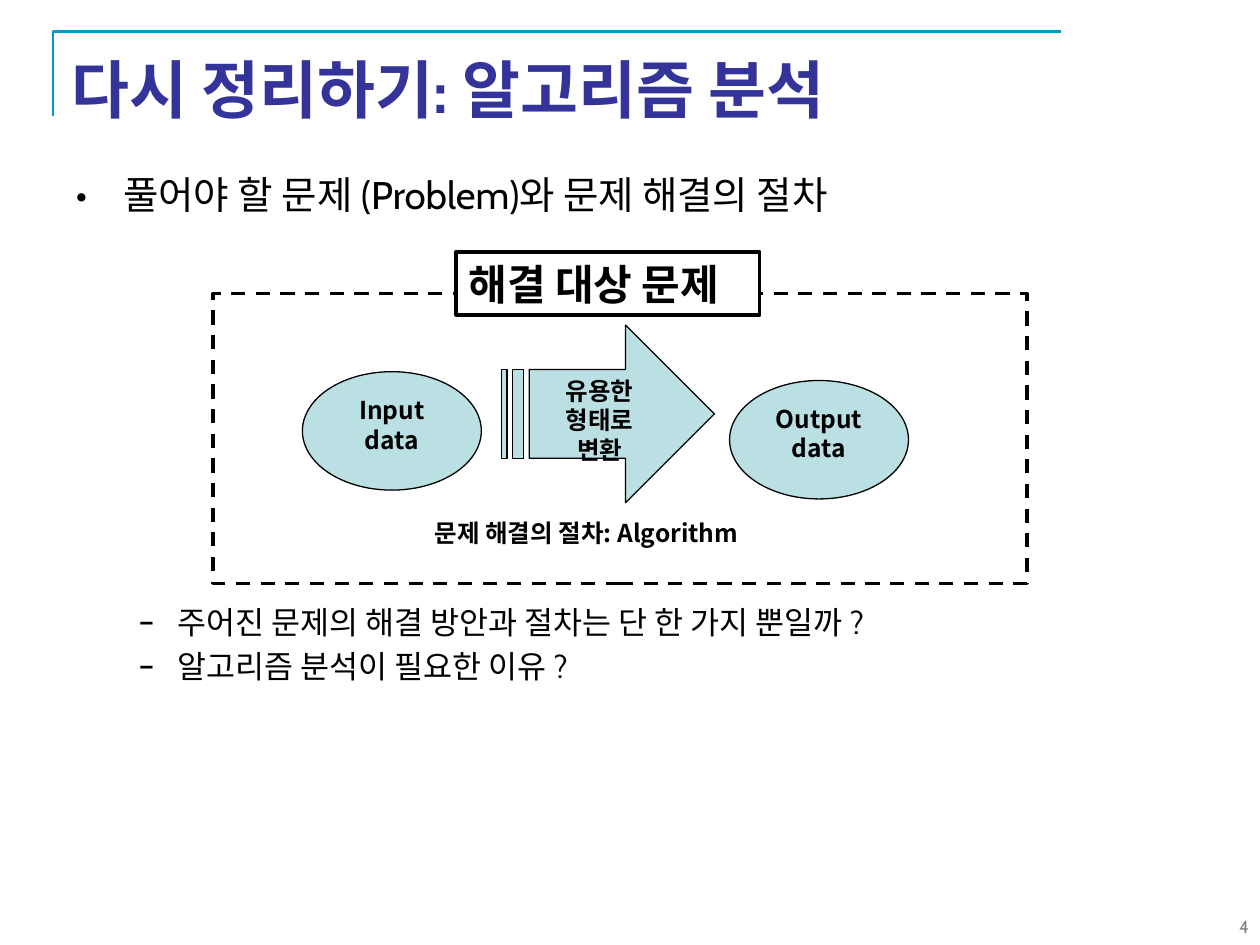
from dataclasses import dataclass

from lxml import etree
from pptx import Presentation
from pptx import util as u
from pptx.dml.color import RGBColor
from pptx.enum import dml, shapes, text
from pptx.oxml.ns import qn


@dataclass(frozen=True)
class Theme:
    heading: str = "333399"
    accent: str = "0099CC"
    ink: str = "000000"
    paper: str = "FFFFFF"
    node: str = "BBE0E3"
    muted: str = "808080"
    text_font: str = "Cabin"
    diagram_font: str = "Noto Sans CJK KR"
    title_size: int = 36
    label_size: int = 24
    bullet_size: int = 22
    detail_size: int = 18
    diagram_size: int = 14
    number_size: int = 10


THEME = Theme()
LEFT = text.PP_ALIGN.LEFT
CENTER = text.PP_ALIGN.CENTER
RIGHT = text.PP_ALIGN.RIGHT


def box(*lengths):
    return [u.Inches(length) for length in lengths]


def place(shape, *lengths):
    shape.left, shape.top, shape.width, shape.height = box(*lengths)


def add_run(paragraph, words, size, font=THEME.text_font, color=THEME.ink, bold=False):
    run = paragraph.add_run()
    run.text = words
    run.font.size = u.Pt(size)
    run.font.bold = bold
    run.font.name = font
    run.font.color.rgb = RGBColor.from_string(color)
    east_asian = etree.SubElement(run.font._element, qn("a:ea"))
    east_asian.set("typeface", font)


def write_lines(shape, lines, size, align=CENTER, **style):
    frame = shape.text_frame
    frame.word_wrap = True
    frame.vertical_anchor = text.MSO_ANCHOR.TOP
    for index, words in enumerate(lines):
        paragraph = frame.add_paragraph() if index else frame.paragraphs[0]
        paragraph.alignment = align
        add_run(paragraph, words, size, **style)


def add_text(slide, lengths, words, size, align, **style):
    shape = slide.shapes.add_textbox(*box(*lengths))
    write_lines(shape, [words], size, align, **style)


def add_block(slide, kind, lengths, fill, line_width):
    shape = slide.shapes.add_shape(kind, *box(*lengths))
    shape.shadow.inherit = False
    shape.fill.solid()
    shape.fill.fore_color.rgb = RGBColor.from_string(fill)
    shape.line.color.rgb = RGBColor.from_string(THEME.ink)
    shape.line.width = u.Pt(line_width)
    return shape


def add_node(slide, kind, lengths, lines):
    shape = add_block(slide, kind, lengths, THEME.node, 0.75)
    write_lines(shape, lines, THEME.diagram_size, font=THEME.diagram_font, bold=True)


def add_corner_rule(slide):
    left, top = 0.42, 0.25
    builder = slide.shapes.build_freeform(u.Inches(left), u.Inches(0.92))
    builder.add_line_segments([box(left, top), box(8.42, top)], close=False)
    rule = builder.convert_to_shape()
    rule.shadow.inherit = False
    rule.fill.background()
    rule.line.color.rgb = RGBColor.from_string(THEME.accent)
    rule.line.width = u.Pt(1.5)


def fill_title(slide, words):
    title = slide.shapes.title
    place(title, 0.47, 0.31, 9, 0.78)
    frame = title.text_frame
    frame.auto_size = text.MSO_AUTO_SIZE.NONE
    frame.vertical_anchor = text.MSO_ANCHOR.MIDDLE
    frame.paragraphs[0].alignment = LEFT
    add_run(frame.paragraphs[0], words, THEME.title_size, color=THEME.heading, bold=True)


def set_bullet(paragraph, character, margin, hanging):
    properties = paragraph._p.get_or_add_pPr()
    properties.set("marL", str(u.Inches(margin)))
    properties.set("indent", str(-u.Inches(hanging)))
    bullet_font = etree.SubElement(properties, qn("a:buFont"))
    bullet_font.set("typeface", THEME.text_font)
    bullet = etree.SubElement(properties, qn("a:buChar"))
    bullet.set("char", character)


def fill_body(slide, topic, details, diagram_gap):
    body = slide.placeholders[1]
    place(body, 0.5, 1.31, 9, 5.67)
    frame = body.text_frame
    frame.auto_size = text.MSO_AUTO_SIZE.NONE
    paragraph = frame.paragraphs[0]
    paragraph.space_before = u.Pt(0)
    set_bullet(paragraph, "•", 0.38, 0.38)
    add_run(paragraph, topic, THEME.bullet_size)
    for index, words in enumerate(details):
        paragraph = frame.add_paragraph()
        paragraph.level = 1
        paragraph.space_before = u.Pt(3.6 if index else diagram_gap)
        set_bullet(paragraph, "–", 0.81, 0.31)
        add_run(paragraph, words, THEME.detail_size)


def add_diagram(slide):
    kinds = shapes.MSO_SHAPE
    frame = add_block(slide, kinds.RECTANGLE, (1.69, 2.33, 6.46, 2.3), THEME.paper, 2)
    frame.line.dash_style = dml.MSO_LINE.DASH
    add_node(slide, kinds.OVAL, (2.4, 2.95, 1.42, 0.94), ["Input", "data"])
    add_node(slide, kinds.OVAL, (5.79, 3.02, 1.42, 0.94), ["Output", "data"])
    add_node(slide, kinds.STRIPED_RIGHT_ARROW, (3.98, 2.58, 1.69, 1.41),
             ["유용한 형태로 변환"])
    add_text(slide, (3.35, 4.06, 2.78, 0.34), "문제 해결의 절차: Algorithm",
             THEME.diagram_size, LEFT, font=THEME.diagram_font, bold=True)
    label = add_block(slide, kinds.RECTANGLE, (3.62, 2, 2.41, 0.5), THEME.paper, 2)
    write_lines(label, ["해결 대상 문제"], THEME.label_size, LEFT, bold=True)


def main():
    presentation = Presentation()
    presentation.slide_width, presentation.slide_height = box(10, 7.5)
    slide = presentation.slides.add_slide(presentation.slide_layouts[1])
    add_corner_rule(slide)
    fill_title(slide, "다시 정리하기: 알고리즘 분석")
    fill_body(slide, "풀어야 할 문제 (Problem)와 문제 해결의 절차",
              ["주어진 문제의 해결 방안과 절차는 단 한 가지 뿐일까 ?",
               "알고리즘 분석이 필요한 이유 ?"], diagram_gap=220)
    add_text(slide, (7.68, 7.22, 2.33, 0.29), "4", THEME.number_size, RIGHT,
             color=THEME.muted)
    add_diagram(slide)
    presentation.save("out.pptx")


if __name__ == "__main__":
    main()
